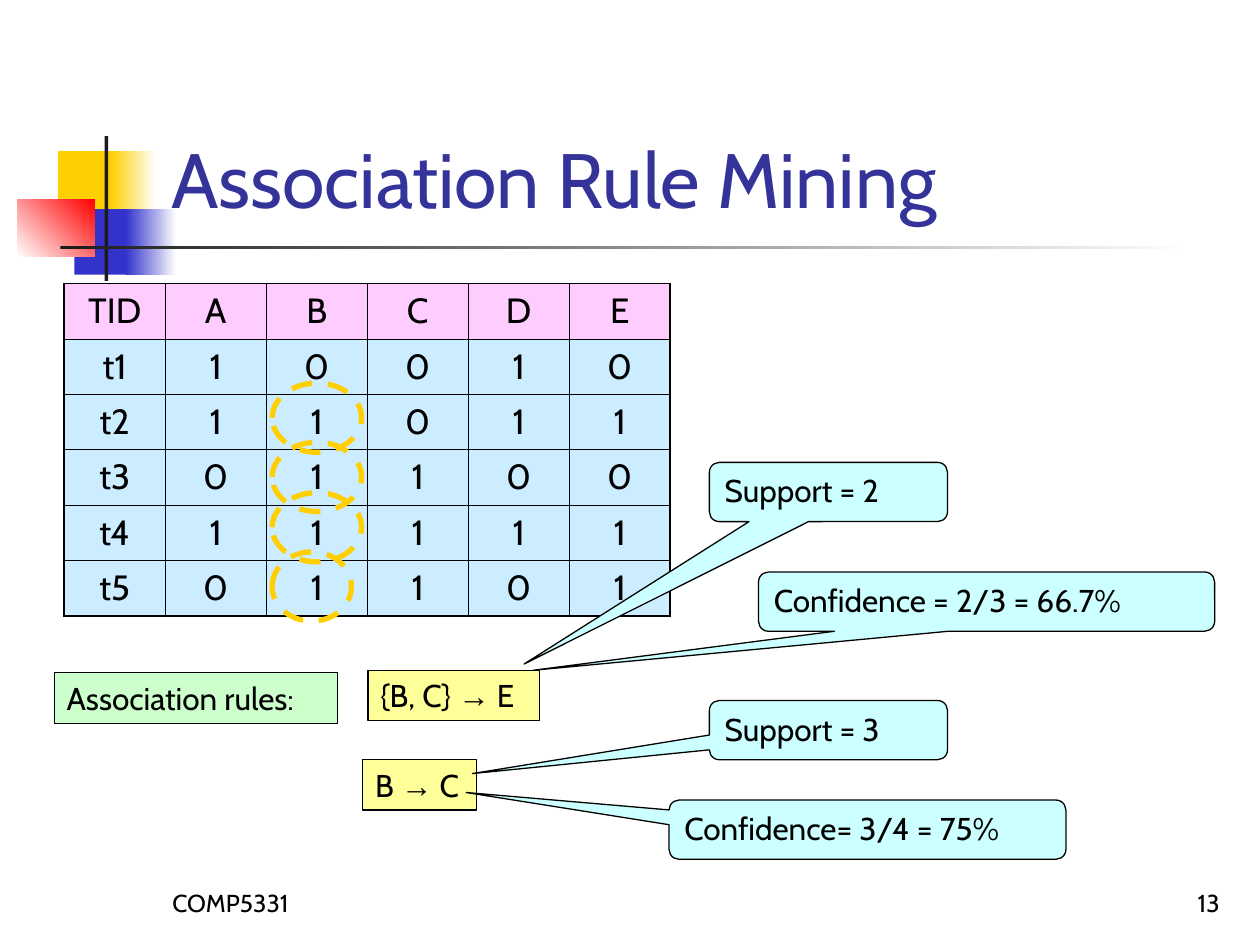
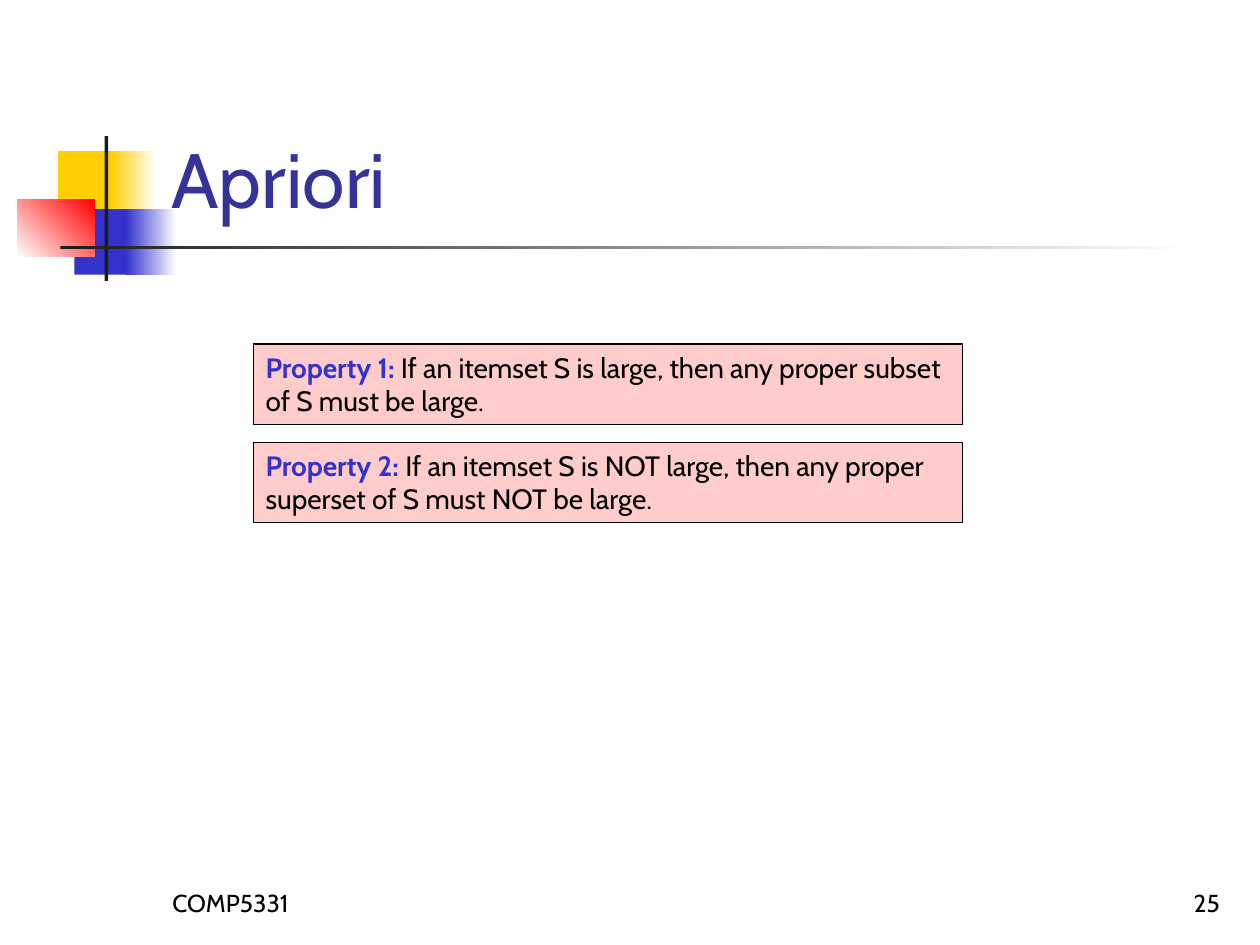
from lxml.etree import SubElement
from pptx import Presentation
from pptx.dml.color import RGBColor
from pptx.enum.dml import MSO_LINE
from pptx.enum.shapes import MSO_SHAPE
from pptx.enum.text import MSO_ANCHOR, MSO_AUTO_SIZE, PP_ALIGN
from pptx.oxml.ns import qn
from pptx.util import Inches, Pt

BLACK = RGBColor(0x00, 0x00, 0x00)
WHITE = RGBColor(0xFF, 0xFF, 0xFF)
CHARCOAL = RGBColor(0x1C, 0x1C, 0x1C)
GOLD = RGBColor(0xFF, 0xCF, 0x01)
BLUE = RGBColor(0x33, 0x33, 0xCC)
RED = RGBColor(0xFF, 0x00, 0x00)
TITLE_BLUE = RGBColor(0x33, 0x33, 0x99)
HEADER_PINK = RGBColor(0xFF, 0xCC, 0xFF)
CELL_BLUE = RGBColor(0xCC, 0xEC, 0xFF)
LABEL_GREEN = RGBColor(0xCC, 0xFF, 0xCC)
RULE_YELLOW = RGBColor(0xFF, 0xFF, 0x99)
CALLOUT_CYAN = RGBColor(0xCC, 0xFF, 0xFF)
PROPERTY_PINK = RGBColor(0xFF, 0xCC, 0xCC)

FONT = "Cabin"
ARROW = ("→", {"font": "Arial"})
TITLE_BOX = (1.26, 0.23, 8.52, 1.6)
FOOTER_TOP, FOOTER_WIDTH, FOOTER_HEIGHT = 6.83, 2.08, 0.5
THIN, THICK = 0.45, 1.08

TRANSACTIONS = [
    ["TID", "A", "B", "C", "D", "E"],
    ["t1", "1", "0", "0", "1", "0"],
    ["t2", "1", "1", "0", "1", "1"],
    ["t3", "0", "1", "1", "0", "0"],
    ["t4", "1", "1", "1", "1", "1"],
    ["t5", "0", "1", "1", "0", "1"],
]
CALLOUTS = [
    ("Support = 2", (5.63, 3.67, 1.89, 0.47), (4.16, 5.27)),
    ("Confidence = 2/3 = 66.7%", (6.02, 4.54, 3.62, 0.47), (4.23, 5.32)),
    ("Support = 3", (5.63, 5.56, 1.89, 0.47), (3.75, 6.14)),
    ("Confidence= 3/4 = 75%", (5.31, 6.35, 3.15, 0.47), (3.7, 6.29)),
]
PROPERTIES = [
    ("Property 1: ", "If an itemset S is large, then any proper subset of S must be large."),
    ("Property 2: ", "If an itemset S is NOT large, then any proper superset of S must NOT be large."),
]


def inches(*lengths):
    """Convert numbers to lengths in inches."""
    return [Inches(length) for length in lengths]


def write(frame, runs, size=18, color=BLACK, align=PP_ALIGN.LEFT, anchor=MSO_ANCHOR.TOP):
    """Write one paragraph of (text, overrides) runs, or a plain string, into a text frame."""
    frame.word_wrap = True
    frame.auto_size = MSO_AUTO_SIZE.NONE
    frame.vertical_anchor = anchor
    paragraph = frame.paragraphs[0]
    paragraph.alignment = align
    for text, overrides in [(runs, {})] if isinstance(runs, str) else runs:
        run = paragraph.add_run()
        run.text = text
        run.font.name = overrides.get("font", FONT)
        run.font.size = Pt(size)
        run.font.bold = overrides.get("bold", False)
        run.font.color.rgb = overrides.get("color", color)


def add_box(slide, box, fill=None, line=None, weight=0.75, kind=MSO_SHAPE.RECTANGLE):
    """Add a flat preset shape with an optional fill and outline."""
    shape = slide.shapes.add_shape(kind, *inches(*box))
    shape.shadow.inherit = False
    if fill is None:
        shape.fill.background()
    else:
        shape.fill.solid()
        shape.fill.fore_color.rgb = fill
    if line is None:
        shape.line.fill.background()
    else:
        shape.line.color.rgb = line
        shape.line.width = Pt(weight)
    return shape


def add_gradient_box(slide, box, start, end, angle=0):
    """Add a rectangle that fades between two colours."""
    shape = add_box(slide, box)
    shape.fill.gradient()
    shape.fill.gradient_angle = angle
    for stop, color in zip(shape.fill.gradient_stops, (start, end)):
        stop.color.rgb = color
    return shape


def decorate_layout(layout, slide):
    """Place the title and the coloured block motif on the shared layout."""
    title = layout.placeholders[0]
    title.left, title.top, title.width, title.height = inches(*TITLE_BOX)
    motif = [
        add_box(slide, (0.46, 1.2, 0.48, 0.52), GOLD),
        add_gradient_box(slide, (0.88, 1.2, 0.36, 0.52), GOLD, WHITE),
        add_box(slide, (0.59, 1.66, 0.46, 0.52), BLUE),
        add_gradient_box(slide, (1, 1.66, 0.4, 0.52), BLUE, WHITE),
        add_gradient_box(slide, (0.14, 1.58, 0.61, 0.46), WHITE, RED, 45),
        add_box(slide, (0.83, 1.08, 0.03, 1.15), CHARCOAL),
        add_gradient_box(slide, (0.48, 1.95, 9, 0.03), CHARCOAL, WHITE),
    ]
    for shape in motif:
        layout.shapes.element.append(shape.element)


def add_title_and_footer(slide, title, number):
    """Fill the title and write the course code and slide number."""
    write(slide.shapes.title.text_frame, title, size=44, color=TITLE_BLUE, anchor=MSO_ANCHOR.BOTTOM)
    for left, text, align in ((1.27, "COMP5331", PP_ALIGN.LEFT), (7.7, number, PP_ALIGN.RIGHT)):
        footer = slide.shapes.add_textbox(*inches(left, FOOTER_TOP, FOOTER_WIDTH, FOOTER_HEIGHT))
        write(footer.text_frame, text, size=14, align=align, anchor=MSO_ANCHOR.BOTTOM)


def set_borders(cell, weights):
    """Draw the left, right, top and bottom borders of a cell."""
    properties = cell._tc.get_or_add_tcPr()
    for index, (side, weight) in enumerate(zip("LRTB", weights)):
        line = SubElement(properties, qn(f"a:ln{side}"), w=str(Pt(weight)))
        fill = SubElement(line, qn("a:solidFill"))
        SubElement(fill, qn("a:srgbClr"), val=str(BLACK))
        properties.insert(index, line)


def add_transactions(slide, box):
    """Add the transaction table and circle the ones in column B."""
    left, top, width, height = box
    rows, columns = len(TRANSACTIONS), len(TRANSACTIONS[0])
    table = slide.shapes.add_table(rows, columns, *inches(*box)).table
    for r, values in enumerate(TRANSACTIONS):
        table.rows[r].height = Inches(height / rows)
        for c, value in enumerate(values):
            cell = table.cell(r, c)
            cell.fill.solid()
            cell.fill.fore_color.rgb = CELL_BLUE if r else HEADER_PINK
            outer = (c == 0, c == columns - 1, r == 0, r == rows - 1)
            set_borders(cell, [THICK if edge else THIN for edge in outer])
            write(cell.text_frame, value, size=20, align=PP_ALIGN.CENTER, anchor=MSO_ANCHOR.MIDDLE)
    for offset, ring_width in ((0.79, 0.71), (1.26, 0.71), (1.66, 0.71), (2.13, 0.63)):
        ring = add_box(slide, (left + 1.65, top + offset, ring_width, 0.55),
                       line=GOLD, weight=3, kind=MSO_SHAPE.OVAL)
        ring.line.dash_style = MSO_LINE.DASH


def add_rules(slide, left, top):
    """Add the label and the two association rules."""
    rules = [
        ("Association rules:", (left, top + 0.02, 2.25, 0.4), LABEL_GREEN),
        ([("{B, C} ", {}), ARROW, (" E", {})], (left + 2.49, top, 1.36, 0.4), RULE_YELLOW),
        ([("B ", {}), ARROW, (" C", {})], (left + 2.45, top + 0.71, 0.9, 0.4), RULE_YELLOW),
    ]
    for runs, box, fill in rules:
        write(add_box(slide, box, fill, BLACK).text_frame, runs)


def add_callout(slide, text, box, tip):
    """Add a rounded callout whose tail ends at the tip."""
    left, top, width, height = box
    shape = add_box(slide, box, CALLOUT_CYAN, BLACK, kind=MSO_SHAPE.ROUNDED_RECTANGULAR_CALLOUT)
    shape.adjustments[0] = (tip[0] - left) / width - 0.5
    shape.adjustments[1] = (tip[1] - top) / height - 0.5
    write(shape.text_frame, text)


def add_properties(slide, box, gap=0.14):
    """Stack the property statements from the given first box."""
    left, top, width, height = box
    for index, (name, statement) in enumerate(PROPERTIES):
        place = (left, top + index * (height + gap), width, height)
        runs = [(name, {"bold": True, "color": BLUE}), (statement, {})]
        write(add_box(slide, place, PROPERTY_PINK, BLACK).text_frame, runs, size=16)


def build_mining_slide(slide):
    """Build the slide on association rule mining."""
    add_title_and_footer(slide, "Association Rule Mining", "13")
    add_transactions(slide, (0.51, 2.25, 4.81, 2.64))
    add_rules(slide, 0.43, 5.32)
    for text, box, tip in CALLOUTS:
        add_callout(slide, text, box, tip)


def build_apriori_slide(slide):
    """Build the slide on the Apriori properties."""
    add_title_and_footer(slide, "Apriori", "25")
    add_properties(slide, (2.01, 2.73, 5.63, 0.64))


def main():
    """Build and save the presentation."""
    presentation = Presentation()
    presentation.slide_width, presentation.slide_height = inches(10, 7.5)
    layout = presentation.slide_layouts[5]
    mining, apriori = [presentation.slides.add_slide(layout) for _ in range(2)]
    decorate_layout(layout, mining)
    build_mining_slide(mining)
    build_apriori_slide(apriori)
    presentation.save("out.pptx")


if __name__ == "__main__":
    main()
